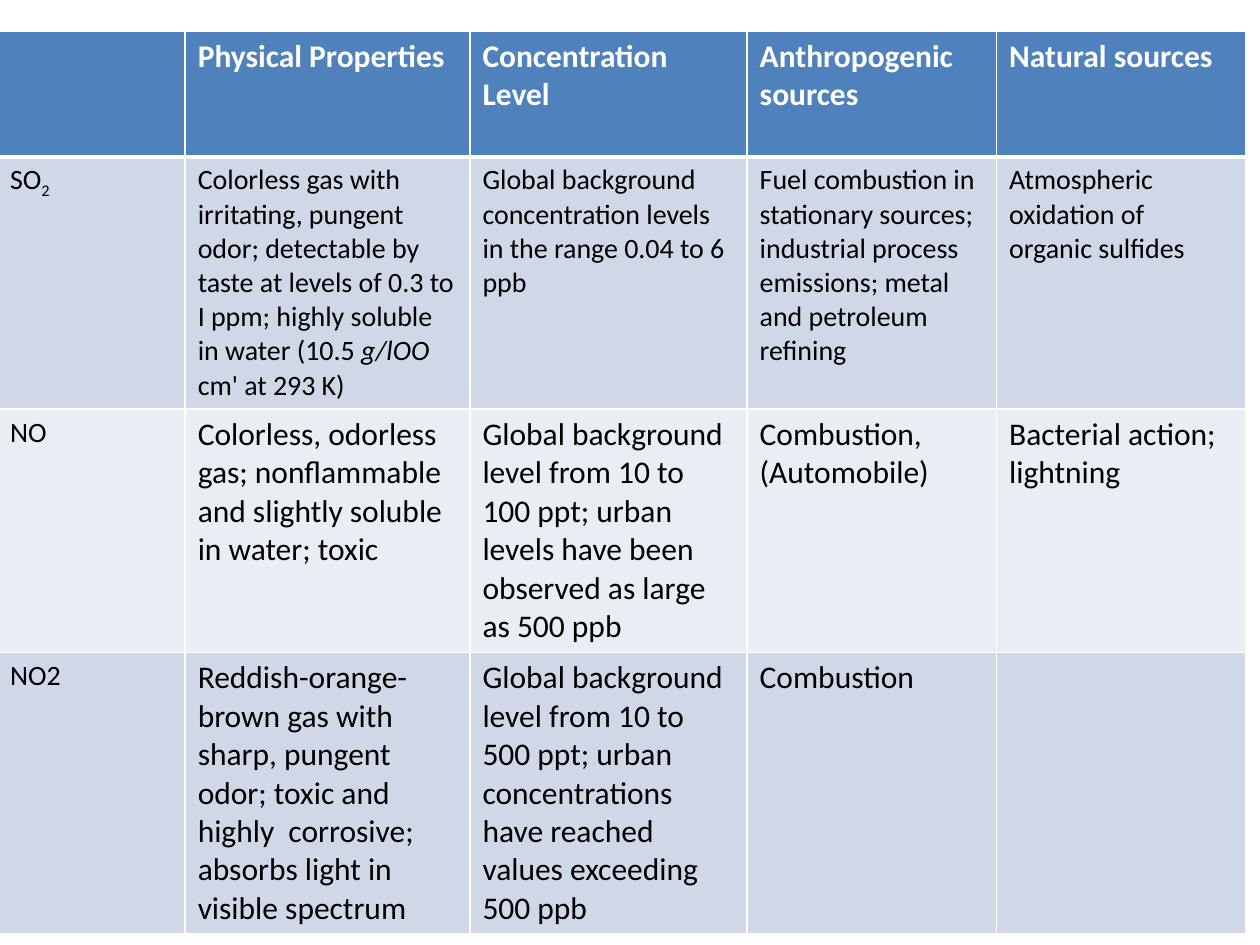
from dataclasses import dataclass
from typing import NamedTuple

from lxml import etree
from pptx import Presentation
from pptx import util as u
from pptx.dml.color import RGBColor
from pptx.oxml.ns import qn


@dataclass(frozen=True)
class Theme:
    font: str = "Calibri"
    header_fill: str = "4F81BD"
    bands: tuple = ("D0D8E8", "E9EDF4")
    light: str = "FFFFFF"
    dark: str = "000000"
    small: int = 16
    large: int = 18
    thin: int = 1
    thick: int = 3


class Span(NamedTuple):
    text: str
    italic: bool = False
    subscript: bool = False


class Pollutant(NamedTuple):
    name: tuple
    details: tuple  # each entry is a string or a tuple of spans
    size: int


THEME = Theme()
SLIDE_WIDTH, SLIDE_HEIGHT = u.Inches(10), u.Inches(7.5)

# Table grid, as shares of the slide's width and height
LEFT, TOP, HEIGHT = -0.002, 0.033, 0.943
COLUMNS = (0.149, 0.226, 0.22, 0.198, 0.198)
HEADER_ROW, BODY_ROW = 0.133, 0.099  # body rows grow with their text

HEADINGS = ("", "Physical Properties", "Concentration Level",
            "Anthropogenic sources", "Natural sources")

POLLUTANTS = (
    Pollutant(
        (Span("SO"), Span("2", subscript=True)),
        ((Span("Colorless gas with irritating, pungent odor; detectable by taste "
               "at levels of 0.3 to I ppm; highly soluble in water (10.5 "),
          Span("g/lOO ", italic=True),
          Span("cm' at 293 K)")),
         "Global background concentration levels in the range 0.04 to 6 ppb",
         "Fuel combustion in stationary sources; industrial process emissions; "
         "metal and petroleum refining",
         "Atmospheric oxidation of  organic sulfides"),
        THEME.small),
    Pollutant(
        (Span("NO"),),
        ("Colorless, odorless gas; nonflammable and slightly soluble in water; toxic",
         "Global background level from 10 to 100 ppt; urban levels have been "
         "observed as large as 500 ppb",
         "Combustion, (Automobile)",
         "Bacterial action;  lightning"),
        THEME.large),
    Pollutant(
        (Span("NO2"),),
        ("Reddish-orange-brown gas with sharp, pungent odor; toxic and highly  "
         "corrosive; absorbs light in visible spectrum",
         "Global background level from 10 to 500 ppt; urban concentrations have "
         "reached values exceeding  500 ppb",
         "Combustion",
         ""),
        THEME.large),
)


def draw_borders(cell, top: int, bottom: int) -> None:
    """Outline a cell in white; top and bottom are widths in points."""
    properties = cell._tc.get_or_add_tcPr()
    widths = {"L": THEME.thin, "R": THEME.thin, "T": top, "B": bottom}
    for side, width in widths.items():
        line = etree.SubElement(properties, qn(f"a:ln{side}"), w=str(u.Pt(width)))
        fill = etree.SubElement(line, qn("a:solidFill"))
        etree.SubElement(fill, qn("a:srgbClr"), val=THEME.light)


def write_text(cell, content, *, size: int, color: str, bold: bool = False) -> None:
    """Write a string or a tuple of spans into a cell."""
    spans = (Span(content),) if isinstance(content, str) else content
    para = cell.text_frame.paragraphs[0]
    para.font.size = u.Pt(size)
    for span in spans:
        if not span.text:
            continue
        run = para.add_run()
        run.text = span.text
        font = run.font
        font.name, font.size = THEME.font, u.Pt(size)
        font.bold, font.italic = bold, span.italic
        font.color.rgb = RGBColor.from_string(color)
        if span.subscript:
            run._r.get_or_add_rPr().set("baseline", "-25000")


def fill_cell(cell, color: str) -> None:
    cell.fill.solid()
    cell.fill.fore_color.rgb = RGBColor.from_string(color)


def draw_table(page) -> None:
    frame = page.shapes.add_table(
        len(POLLUTANTS) + 1, len(COLUMNS),
        int(SLIDE_WIDTH * LEFT), int(SLIDE_HEIGHT * TOP),
        int(SLIDE_WIDTH * sum(COLUMNS)), int(SLIDE_HEIGHT * HEIGHT))
    table = frame.table
    table.horz_banding = False
    for column, share in zip(table.columns, COLUMNS):
        column.width = int(SLIDE_WIDTH * share)
    for index, row in enumerate(table.rows):
        row.height = int(SLIDE_HEIGHT * (BODY_ROW if index else HEADER_ROW))
    frame.height = int(SLIDE_HEIGHT * HEIGHT)

    # Header row
    for cell, heading in zip(table.rows[0].cells, HEADINGS):
        draw_borders(cell, THEME.thin, THEME.thick)
        fill_cell(cell, THEME.header_fill)
        write_text(cell, heading, size=THEME.large, color=THEME.light, bold=True)

    # One banded row for each pollutant
    for index, pollutant in enumerate(POLLUTANTS):
        contents = (pollutant.name, *pollutant.details)
        for column, content in enumerate(contents):
            cell = table.cell(index + 1, column)
            draw_borders(cell, THEME.thin if index else THEME.thick, THEME.thin)
            fill_cell(cell, THEME.bands[index % len(THEME.bands)])
            write_text(cell, content, color=THEME.dark,
                       size=pollutant.size if column else THEME.small)


def main() -> None:
    deck = Presentation()
    deck.slide_width, deck.slide_height = SLIDE_WIDTH, SLIDE_HEIGHT
    page = deck.slides.add_slide(deck.slide_layouts[6])
    draw_table(page)
    deck.save("out.pptx")


if __name__ == "__main__":
    main()
